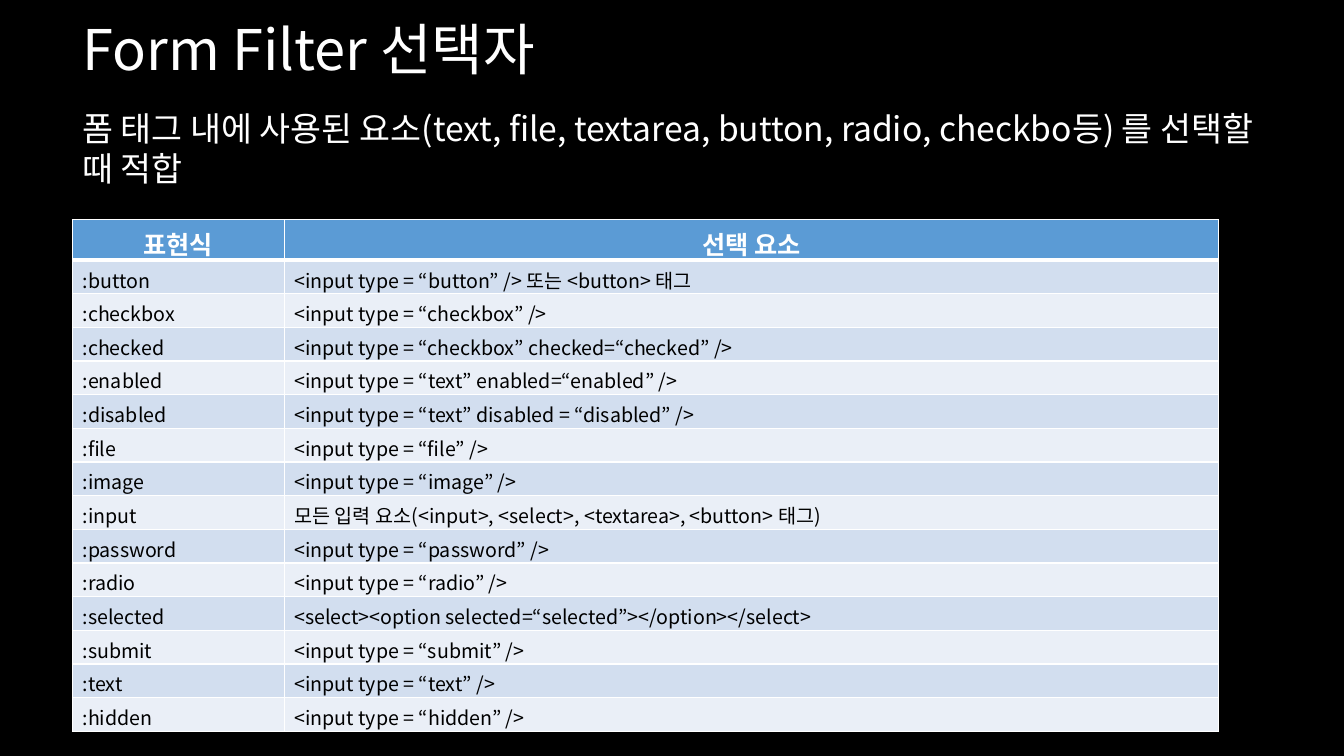
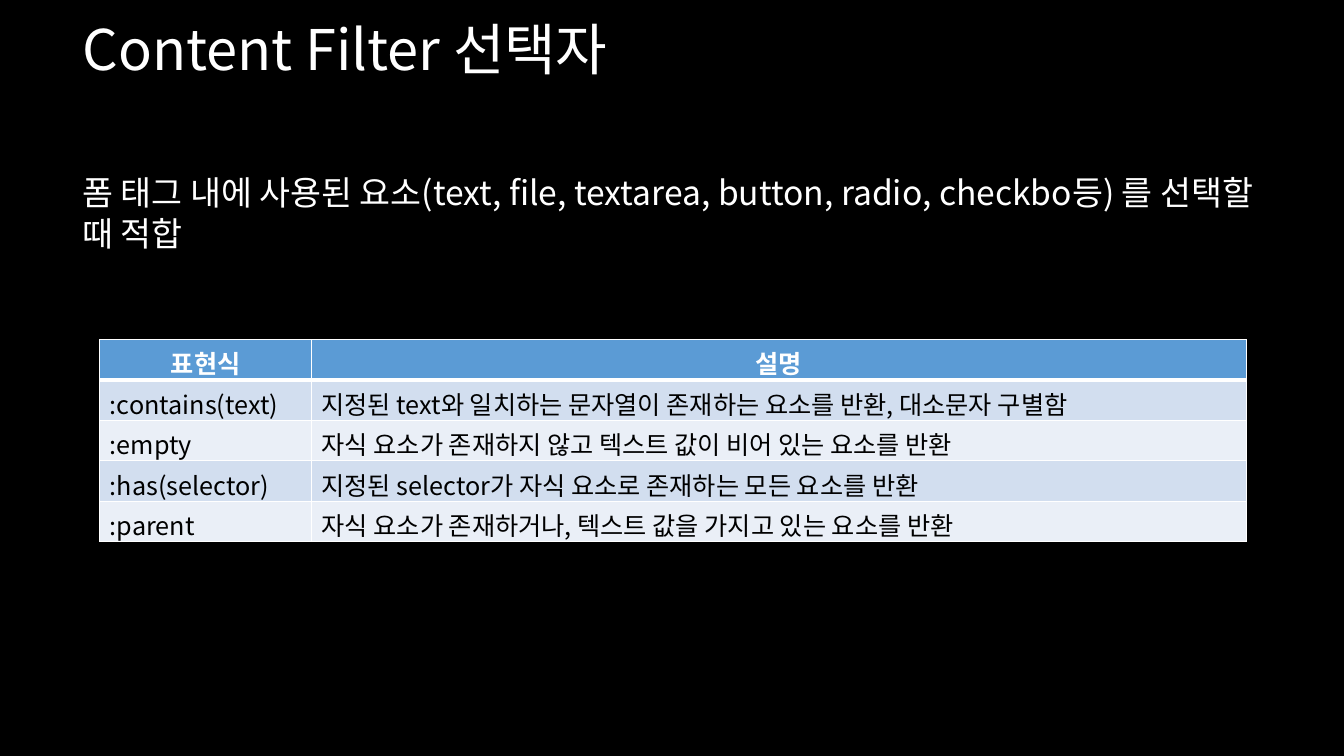
from dataclasses import dataclass

from lxml.etree import SubElement
from pptx import Presentation
from pptx.dml.color import RGBColor
from pptx.enum.text import MSO_ANCHOR as Anchor
from pptx.enum.text import MSO_AUTO_SIZE as AutoSize
from pptx.enum.text import PP_ALIGN as Align
from pptx.oxml.ns import qn
from pptx.presentation import Presentation as Deck
from pptx.slide import Slide
from pptx.table import _Cell as Cell
from pptx.text.text import TextFrame
from pptx.text.text import _Paragraph as Paragraph
from pptx.util import Inches, Pt

BLACK = RGBColor(0x00, 0x00, 0x00)
WHITE = RGBColor(0xFF, 0xFF, 0xFF)
HEADER_BLUE = RGBColor(0x5B, 0x9B, 0xD5)
BAND_DARK = RGBColor(0xD2, 0xDE, 0xEF)
BAND_LIGHT = RGBColor(0xEA, 0xEF, 0xF7)

FONT = "Noto Sans CJK KR"
SLIDE_WIDTH = Inches(13.33)
SLIDE_HEIGHT = Inches(7.5)
TITLE_ONLY = 5

MARGIN = 5.4
TITLE_SIZE = 40
LEAD_SIZE = 24
HEADER_SIZE = 18
HEADER_HEIGHT = 5.33
COLUMN_WIDTHS = (15.75, 69.54)
THIN_LINE = 1
HEADER_LINE = 3

LEAD = (
    "폼 태그 내에 사용된 요소(text, file, textarea, button, radio, checkbo등) "
    "를 선택할 때 적합"
)


@dataclass(frozen=True)
class Area:
    left: float
    top: float
    width: float
    height: float

    def emu(self) -> tuple[int, int, int, int]:
        return (
            across(self.left),
            down(self.top),
            across(self.width),
            down(self.height),
        )


@dataclass(frozen=True)
class FilterPage:
    title: str
    lead_top: float
    table_area: Area
    body_size: int
    header: tuple[str, str]
    rows: tuple[tuple[str, str], ...]


TITLE_AREA = Area(MARGIN, 1.2, 67.67, 10.27)

PAGES = (
    FilterPage(
        title="Form Filter 선택자",
        lead_top=13.6,
        table_area=Area(MARGIN, 29.07, sum(COLUMN_WIDTHS), 67.6),
        body_size=14,
        header=("표현식", "선택 요소"),
        rows=(
            (":button", "<input type = “button” /> 또는 <button> 태그"),
            (":checkbox", "<input type = “checkbox” />"),
            (":checked", "<input type = “checkbox” checked=“checked” />"),
            (":enabled", "<input type = “text” enabled=“enabled” />"),
            (":disabled", "<input type = “text” disabled = “disabled” />"),
            (":file", "<input type = “file” />"),
            (":image", "<input type = “image” />"),
            (":input", "모든 입력 요소(<input>, <select>, <textarea>, <button> 태그)"),
            (":password", "<input type = “password” />"),
            (":radio", "<input type = “radio” />"),
            (":selected", "<select><option selected=“selected”></option></select>"),
            (":submit", "<input type = “submit” />"),
            (":text", "<input type = “text” />"),
            (":hidden", "<input type = “hidden” />"),
        ),
    ),
    FilterPage(
        title="Content Filter 선택자",
        lead_top=22.13,
        table_area=Area(7.43, 44.93, sum(COLUMN_WIDTHS), 26.67),
        body_size=18,
        header=("표현식", "설명"),
        rows=(
            (
                ":contains(text)",
                "지정된 text와 일치하는 문자열이 존재하는 요소를 반환, 대소문자 구별함",
            ),
            (":empty", "자식 요소가 존재하지 않고 텍스트 값이 비어 있는 요소를 반환"),
            (":has(selector)", "지정된 selector가 자식 요소로 존재하는 모든 요소를 반환"),
            (":parent", "자식 요소가 존재하거나, 텍스트 값을 가지고 있는 요소를 반환"),
        ),
    ),
)


def across(percent: float) -> int:
    return round(SLIDE_WIDTH * percent / 100)


def down(percent: float) -> int:
    return round(SLIDE_HEIGHT * percent / 100)


def style_paragraph(
    para: Paragraph, size: int, color: RGBColor, bold: bool, align: Align
) -> None:
    para.alignment = align
    font = para.font
    font.name = FONT
    font.size = Pt(size)
    font.bold = bold
    font.color.rgb = color
    properties = para._p.pPr.find(qn("a:defRPr"))
    SubElement(properties, qn("a:ea"), typeface=FONT)


def fill_frame(frame: TextFrame, text: str, size: int) -> None:
    frame.text = text
    frame.word_wrap = True
    frame.auto_size = AutoSize.SHAPE_TO_FIT_TEXT
    frame.vertical_anchor = Anchor.TOP
    style_paragraph(frame.paragraphs[0], size, WHITE, False, Align.LEFT)


def draw_borders(cell: Cell, top: int, bottom: int) -> None:
    properties = cell._tc.get_or_add_tcPr()
    widths = {"lnL": THIN_LINE, "lnR": THIN_LINE, "lnT": top, "lnB": bottom}
    for position, (side, width) in enumerate(widths.items()):
        line = SubElement(properties, qn(f"a:{side}"), w=str(Pt(width)))
        solid = SubElement(line, qn("a:solidFill"))
        SubElement(solid, qn("a:srgbClr"), val=str(WHITE))
        properties.insert(position, line)


def fill_cell(cell: Cell, text: str, row: int, body_size: int) -> None:
    is_header = row == 0
    cell.text = text
    cell.fill.solid()
    if is_header:
        cell.fill.fore_color.rgb = HEADER_BLUE
        cell.vertical_anchor = Anchor.MIDDLE
    else:
        cell.fill.fore_color.rgb = BAND_DARK if row % 2 else BAND_LIGHT
    style_paragraph(
        cell.text_frame.paragraphs[0],
        HEADER_SIZE if is_header else body_size,
        WHITE if is_header else BLACK,
        is_header,
        Align.CENTER if is_header else Align.LEFT,
    )
    draw_borders(
        cell,
        top=HEADER_LINE if row == 1 else THIN_LINE,
        bottom=HEADER_LINE if is_header else THIN_LINE,
    )


def draw_table(slide: Slide, page: FilterPage) -> None:
    lines = (page.header, *page.rows)
    area = page.table_area
    table = slide.shapes.add_table(len(lines), len(COLUMN_WIDTHS), *area.emu()).table
    for column, width in zip(table.columns, COLUMN_WIDTHS):
        column.width = across(width)
    body_height = (area.height - HEADER_HEIGHT) / len(page.rows)
    for row, texts in enumerate(lines):
        table.rows[row].height = down(body_height if row else HEADER_HEIGHT)
        for column, text in enumerate(texts):
            fill_cell(table.cell(row, column), text, row, page.body_size)


def draw_page(deck: Deck, page: FilterPage) -> None:
    slide = deck.slides.add_slide(deck.slide_layouts[TITLE_ONLY])
    title = slide.shapes.title
    title.left, title.top, title.width, title.height = TITLE_AREA.emu()
    fill_frame(title.text_frame, page.title, TITLE_SIZE)
    lead_area = Area(MARGIN, page.lead_top, 89.27, 12.13)
    lead = slide.shapes.add_textbox(*lead_area.emu())
    fill_frame(lead.text_frame, LEAD, LEAD_SIZE)
    draw_table(slide, page)


def main() -> None:
    deck = Presentation()
    deck.slide_width = SLIDE_WIDTH
    deck.slide_height = SLIDE_HEIGHT
    background = deck.slide_master.background.fill
    background.solid()
    background.fore_color.rgb = BLACK
    for page in PAGES:
        draw_page(deck, page)
    deck.save("out.pptx")


if __name__ == "__main__":
    main()
